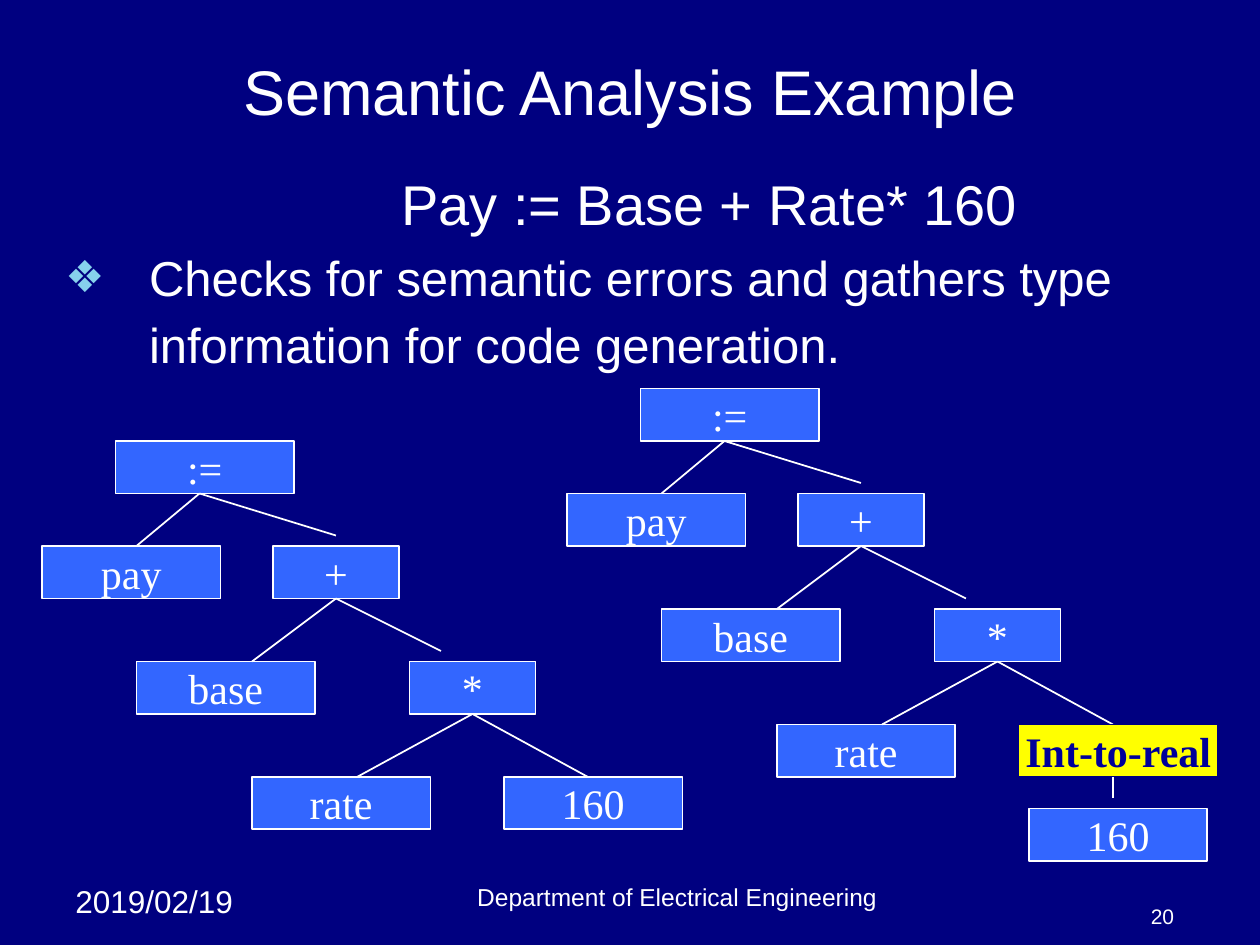
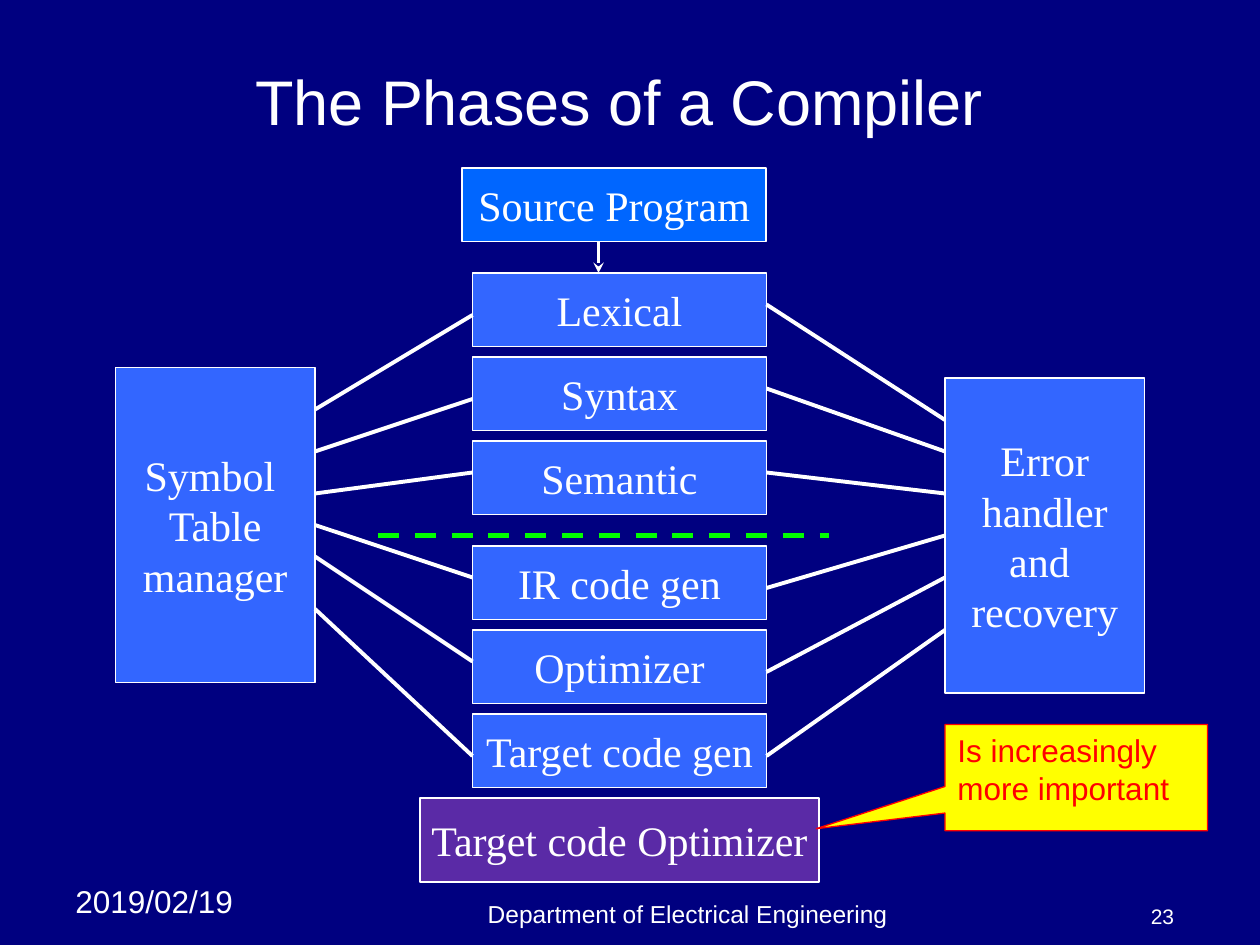
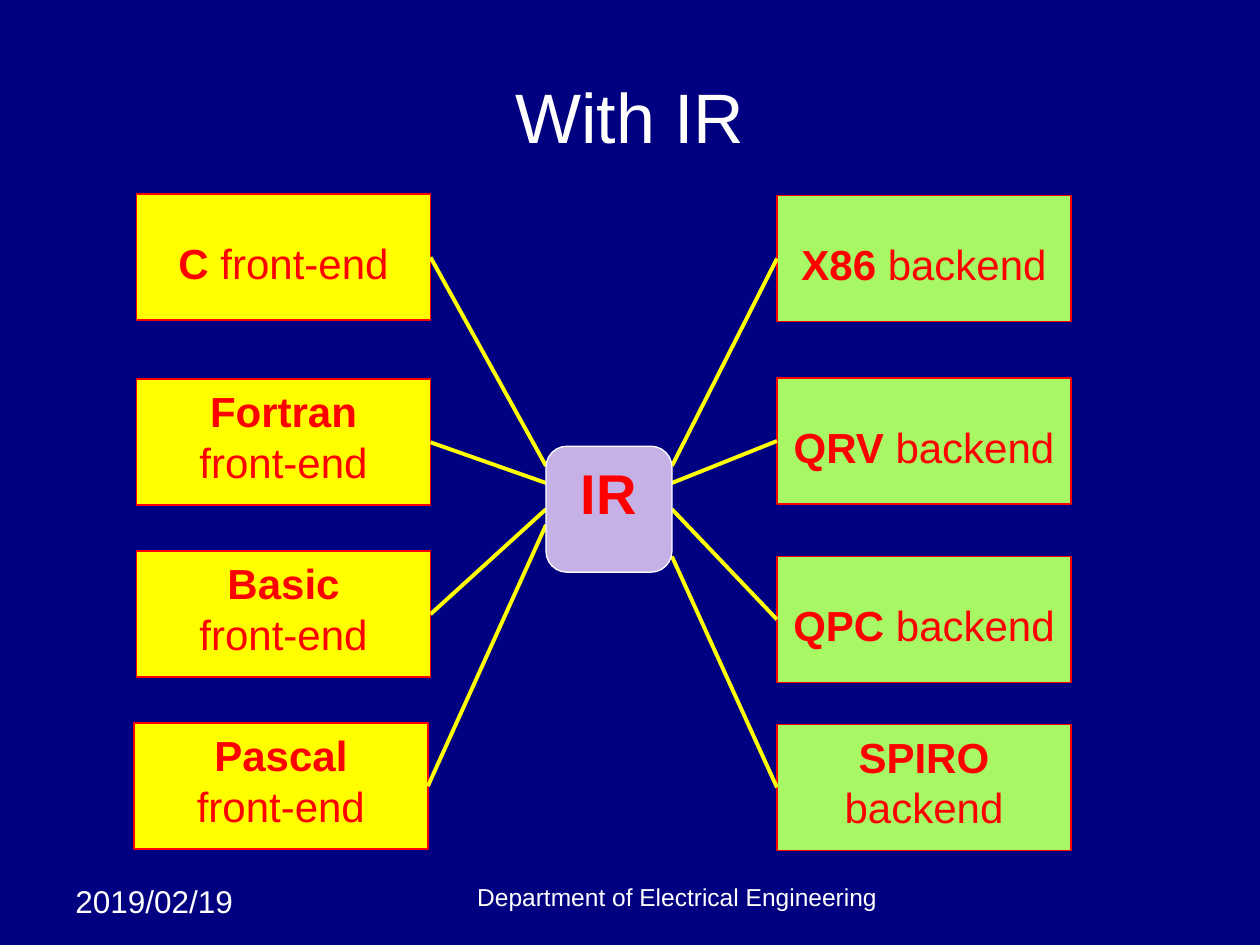
from pptx import Presentation
from pptx import util as u
from pptx.dml.color import RGBColor
from pptx.enum import dml, shapes, text
from pptx.oxml.ns import qn
from lxml import etree

NAVY = RGBColor(0x00, 0x00, 0x80)
INK = RGBColor(0x00, 0x00, 0x99)
WHITE = RGBColor(0xFF, 0xFF, 0xFF)
BLUE = RGBColor(0x33, 0x66, 0xFF)
BRIGHT_BLUE = RGBColor(0x00, 0x66, 0xFF)
PURPLE = RGBColor(0x5A, 0x2A, 0xA6)
LILAC = RGBColor(0xC5, 0xB1, 0xE5)
YELLOW = RGBColor(0xFF, 0xFF, 0x00)
RED = RGBColor(0xFF, 0x00, 0x00)
GREEN = RGBColor(0x00, 0xFF, 0x00)
LIME = RGBColor(0xA7, 0xF8, 0x64)
SKY = RGBColor(0x86, 0xD1, 0xEC)

RECT = shapes.MSO_SHAPE.RECTANGLE
CENTER = text.PP_ALIGN.CENTER
LEFT = text.PP_ALIGN.LEFT
RIGHT = text.PP_ALIGN.RIGHT
TOP = text.MSO_ANCHOR.TOP
MIDDLE = text.MSO_ANCHOR.MIDDLE
BOTTOM = text.MSO_ANCHOR.BOTTOM

SERIF = {"name": "Times New Roman", "size": u.Pt(24), "bold": False, "color": WHITE}
SANS = {**SERIF, "name": "Arial"}
RED_SANS = {**SANS, "color": RED}
BOLD = {"bold": True}

NODE_HEIGHT = 40
TREE_NODES = [
    (":=", 88, 336, 136), ("pay", 32, 416, 136), ("+", 208, 416, 96),
    ("base", 104, 504, 136), ("*", 312, 504, 96), ("rate", 192, 592, 136),
]
TREE_EDGES = [
    (152, 376, 104, 416), (152, 376, 256, 408), (256, 456, 192, 504),
    (256, 456, 336, 496), (360, 544, 272, 592), (360, 544, 448, 592),
]
PHASES = [
    ("Lexical", 208, (312, 240), (232, 320)),
    ("Syntax", 272, (344, 304), (296, 344)),
    ("Semantic", 336, (376, 360), (360, 376)),
    ("IR code gen", 416, (400, 440), (448, 408)),
    ("Optimizer", 480, (424, 504), (512, 440)),
    ("Target code gen", 544, (464, 576), (576, 480)),
]
FRONT_ENDS = [
    ("C", 104, 148, 355), ("Fortran", 104, 289, 368),
    ("Basic", 104, 420, 388), ("Pascal", 102, 551, 400),
]
BACK_ENDS = [("X86", 149, 355), ("QRV", 288, 368), ("QPC", 424, 388), ("SPIRO", 552, 424)]


def px(length):
    return u.Emu(length * 9525)


def set_font(font, style):
    for name, value in style.items():
        if name == "color":
            font.color.rgb = value
        else:
            setattr(font, name, value)


def write(box, paragraphs, style, align=CENTER, **frame_format):
    frame = box.text_frame
    for name, value in {"word_wrap": True, "vertical_anchor": MIDDLE, **frame_format}.items():
        setattr(frame, name, value)
    for index, spans in enumerate(paragraphs):
        para = frame.add_paragraph() if index else frame.paragraphs[0]
        para.alignment = align
        for words, changes in spans:
            span = para.add_run()
            span.text = words
            set_font(span.font, {**style, **changes})


def plain(*lines):
    return [[(line, {})] for line in lines]


def place(shape, bounds):
    for name, value in zip(("left", "top", "width", "height"), bounds):
        setattr(shape, name, px(value))


def add_label(page, words, bounds, size, align=CENTER, anchor=BOTTOM):
    box = page.shapes.add_textbox(*map(px, bounds))
    write(box, plain(words), {**SANS, "size": u.Pt(size)}, align, vertical_anchor=anchor)


def add_box(page, bounds, fill=BLUE, line=WHITE, width=1, kind=RECT):
    box = page.shapes.add_shape(kind, *map(px, bounds))
    box.shadow.inherit = False
    box.fill.solid()
    box.fill.fore_color.rgb = fill
    box.line.color.rgb = line
    box.line.width = u.Pt(width)
    return box


def add_node(page, lines, bounds, fill=BLUE, line=WHITE, **changes):
    box = add_box(page, bounds, fill, line)
    write(box, plain(*lines), {**SERIF, **changes}, word_wrap=False)


def add_line(page, ends, color=WHITE, width=1):
    line = page.shapes.add_connector(shapes.MSO_CONNECTOR.STRAIGHT, *map(px, ends))
    line.line.color.rgb = color
    line.line.width = u.Pt(width)
    etree.SubElement(line._element.spPr, qn("a:effectLst"))
    return line


def add_page(deck, layout, title, bounds, footer_at, number=None):
    page = deck.slides.add_slide(deck.slide_layouts[layout])
    place(page.shapes.title, bounds)
    write(page.shapes.title, [title], SANS, auto_size=text.MSO_AUTO_SIZE.NONE)
    add_label(page, "2019/02/19", (48, 667, 152, 38), 18, LEFT, TOP)
    add_label(page, "Department of Electrical Engineering", (*footer_at, 648, 32), 14)
    if number:
        add_label(page, number, (840, 680, 64, 32), 12, RIGHT)
    return page


def set_bullet(para, indent, hanging, char=None):
    properties = para._p.get_or_add_pPr()
    properties.set("marL", str(px(indent)))
    properties.set("indent", str(px(-hanging)))
    if char:
        color = etree.SubElement(properties, qn("a:buClr"))
        etree.SubElement(color, qn("a:srgbClr"), val=str(SKY))
        etree.SubElement(properties, qn("a:buSzPct"), val="90000")
        etree.SubElement(properties, qn("a:buChar"), char=char)
    else:
        etree.SubElement(properties, qn("a:buNone"))


def add_body(page):
    body = page.placeholders[1]
    place(body, (40, 120, 896, 560))
    statement = [("Pay := Base + Rate* 160", {"size": u.Pt(32)})]
    check = [("Checks for semantic errors and gathers type information for code generation.", {})]
    write(body, [statement, check], {**SANS, "size": u.Pt(28)}, LEFT, vertical_anchor=TOP,
          margin_top=px(9), auto_size=text.MSO_AUTO_SIZE.NONE)
    first, second = body.text_frame.paragraphs
    set_bullet(first, 256, 0)
    set_bullet(second, 64, 64, "❖")
    first.space_before = u.Pt(0)
    second.space_before = u.Pt(2)
    second.line_spacing = u.Pt(38)


def add_tree(page, right, down):
    for words, left, top, width in TREE_NODES:
        add_node(page, [words], (left + right, top + down, width, NODE_HEIGHT))
    for x1, y1, x2, y2 in TREE_EDGES:
        add_line(page, (x1 + right, y1 + down, x2 + right, y2 + down))


def build_semantic(deck):
    title = [("Semantic Analysis Example", {"size": u.Pt(36)})]
    page = add_page(deck, 1, title, (48, 29, 864, 80), (192, 667), "20")
    add_body(page)
    add_tree(page, 0, 0)
    add_node(page, ["160"], (384, 592, 136, NODE_HEIGHT))
    add_tree(page, 400, -40)
    add_node(page, ["Int-to-real"], (776, 552, 152, NODE_HEIGHT), YELLOW, NAVY, color=INK, bold=True)
    add_node(page, ["160"], (784, 616, 136, NODE_HEIGHT))
    add_line(page, (848, 592, 848, 608))


def build_phases(deck):
    title = [("The Phases of a Compiler", {"size": u.Pt(36)}), (" ", {"size": u.Pt(44)})]
    page = add_page(deck, 5, title, (72, 32, 816, 80), (200, 680), "23")
    add_node(page, ["Source Program"], (352, 128, 232, 56), BRIGHT_BLUE)
    add_node(page, ["Symbol ", "Table", "manager"], (88, 280, 152, 240))
    add_node(page, ["Error", "handler", "and ", "recovery"], (720, 288, 152, 240))
    divider = add_line(page, (288, 408, 632, 408), GREEN, 3)
    divider.line.dash_style = dml.MSO_LINE.DASH
    for name, top, (symbol_y, left_y), (right_y, error_y) in PHASES:
        add_node(page, [name], (360, top, 224, 56))
        add_line(page, (240, symbol_y, 360, left_y), width=2.25)
        add_line(page, (584, right_y, 720, error_y), width=2.25)
    add_node(page, ["Target code Optimizer"], (320, 608, 304, 64), PURPLE)
    arrow = add_line(page, (456, 184, 456, 208), width=2)
    etree.SubElement(arrow.line._get_or_add_ln(), qn("a:tailEnd"), type="stealth")
    callout = add_box(page, (720, 552, 200, 81), YELLOW, RED, 0.75,
                      shapes.MSO_SHAPE.RECTANGULAR_CALLOUT)
    callout.adjustments[0] = -0.99
    callout.adjustments[1] = 0.48
    write(callout, plain("Is increasingly more important"), {**RED_SANS, "size": u.Pt(18)},
          LEFT, vertical_anchor=TOP)


def add_end(page, paragraphs, bounds, fill, lowered):
    box = add_box(page, bounds, fill, RED)
    write(box, paragraphs, RED_SANS, vertical_anchor=TOP, margin_top=px(33 if lowered else 5))


def build_ir(deck):
    page = add_page(deck, 5, [("With IR", {"size": u.Pt(40)})], (48, 40, 864, 96), (192, 667))
    for name, left, top, ir_y in FRONT_ENDS:
        short = name == "C"
        if short:
            paragraphs = [[(name, BOLD), (" front-end", {})]]
        else:
            paragraphs = [[(name, BOLD)], [("front-end", {})]]
        add_end(page, paragraphs, (left, top, 224, 96), YELLOW, short)
        add_line(page, (left + 224, top + 48, 416, ir_y), YELLOW, 2.25)
    for name, top, ir_y in BACK_ENDS:
        add_end(page, [[(name, BOLD), (" backend", {})]], (592, top, 224, 96), LIME, len(name) == 3)
        add_line(page, (512, ir_y, 592, top + 48), YELLOW, 2.25)
    hub = add_box(page, (416, 340, 96, 96), LILAC, WHITE, 0.75, shapes.MSO_SHAPE.ROUNDED_RECTANGLE)
    write(hub, [[("IR", BOLD)]], {**RED_SANS, "size": u.Pt(32)}, vertical_anchor=TOP)


def main():
    deck = Presentation()
    deck.slide_width, deck.slide_height = px(960), px(720)
    background = deck.slide_master.background.fill
    background.solid()
    background.fore_color.rgb = NAVY
    build_semantic(deck)
    build_phases(deck)
    build_ir(deck)
    deck.save("out.pptx")


if __name__ == "__main__":
    main()
